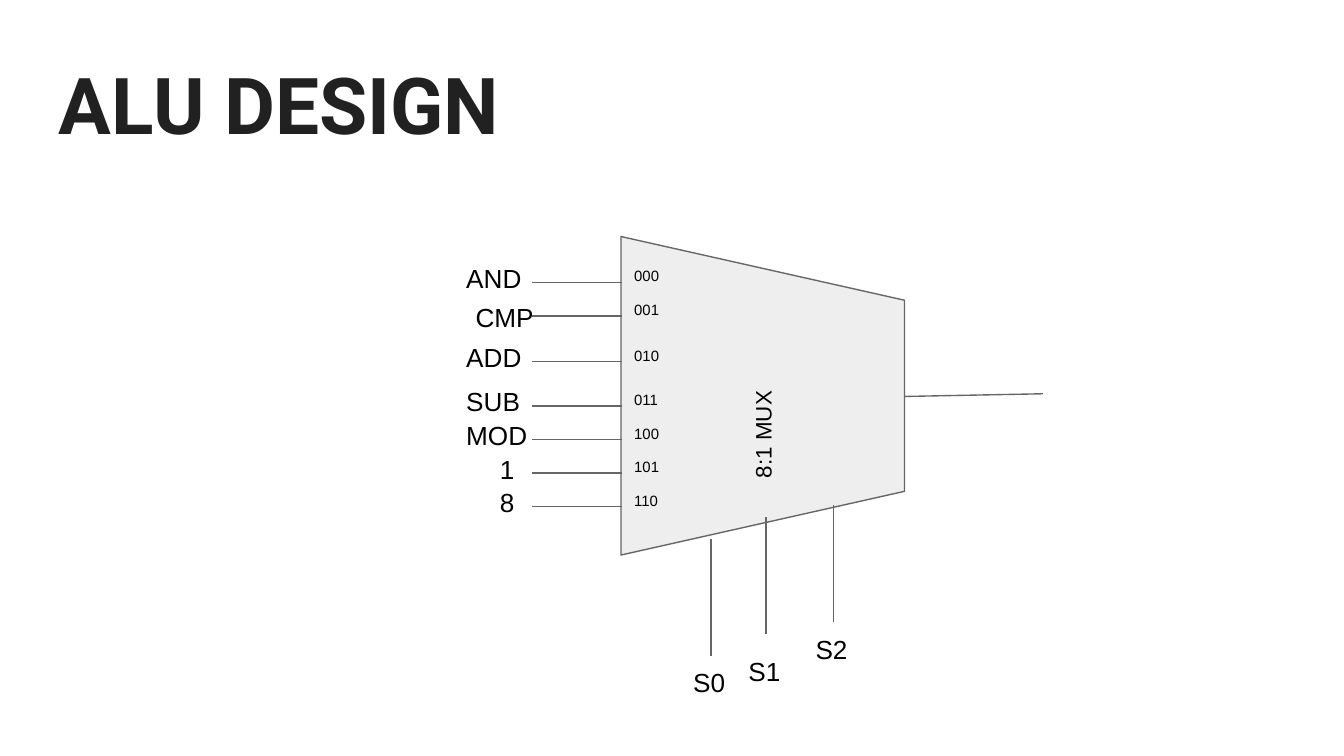
import dataclasses

import lxml.etree
import pptx
import pptx.dml.color
import pptx.enum.shapes
import pptx.enum.text
import pptx.oxml.ns
import pptx.util

Inches = pptx.util.Inches
COLORS = {"title": "212121", "text": "000000", "fill": "EEEEEE", "line": "666666"}


@dataclasses.dataclass
class Input:
    name: str
    code: str
    y: float
    left: float = 3.37
    rise: float = 0.25
    width: float = 0.68


@dataclasses.dataclass
class Select:
    name: str
    x: float
    top: float
    label: float


INPUTS = [
    Input("AND", "000", 2.1),
    Input("CMP", "001", 2.35, left=3.44, rise=0.21, width=0.73),
    Input("ADD", "010", 2.69),
    Input("SUB", "011", 3.02),
    Input("MOD", "100", 3.27),
    Input("1", "101", 3.52, left=3.62),
    Input("8", "110", 3.77, left=3.62),
]
SELECTS = [
    Select("S0", 5.29, 4.01, 4.88),
    Select("S1", 5.7, 3.85, 4.8),
    Select("S2", 6.2, 3.76, 4.63),
]


def color(key: str) -> pptx.dml.color.RGBColor:
    return pptx.dml.color.RGBColor.from_string(COLORS[key])


def write(shape, text: str, *, size: float, font: str = "Arial",
          key: str = "text", bold: bool = False, middle: bool = False) -> None:
    frame = shape.text_frame
    frame.word_wrap = True
    frame.margin_left = frame.margin_right = Inches(0.1)
    frame.margin_top = frame.margin_bottom = Inches(0.1)
    anchor = pptx.enum.text.MSO_ANCHOR
    frame.vertical_anchor = anchor.MIDDLE if middle else anchor.TOP
    para = frame.paragraphs[0]
    para.alignment = pptx.enum.text.PP_ALIGN.LEFT
    run = para.add_run()
    run.text = text
    run.font.size = pptx.util.Pt(size)
    run.font.name = font
    run.font.bold = bold
    run.font.color.rgb = color(key)


def label(slide, text: str, left: float, top: float, width: float,
          height: float, **style) -> None:
    box = slide.shapes.add_textbox(
        Inches(left), Inches(top), Inches(width), Inches(height))
    write(box, text, **style)
    box.text_frame.auto_size = pptx.enum.text.MSO_AUTO_SIZE.SHAPE_TO_FIT_TEXT


def stroke(line) -> None:
    line.color.rgb = color("line")
    line.width = pptx.util.Pt(0.75)


def wire(slide, x1: float, y1: float, x2: float, y2: float) -> None:
    link = slide.shapes.add_connector(
        pptx.enum.shapes.MSO_CONNECTOR.STRAIGHT,
        Inches(x1), Inches(y1), Inches(x2), Inches(y2))
    stroke(link.line)
    props = link._element.spPr
    lxml.etree.SubElement(props, pptx.oxml.ns.qn("a:effectLst"))


def draw_mux(slide) -> None:
    mux = slide.shapes.add_shape(
        pptx.enum.shapes.MSO_SHAPE.FLOWCHART_MANUAL_OPERATION,
        Inches(4.49), Inches(1.89), Inches(2.37), Inches(2.11))
    mux.rotation = 270
    mux.shadow.inherit = False
    mux.fill.solid()
    mux.fill.fore_color.rgb = color("fill")
    stroke(mux.line)
    write(mux, "8:1 MUX", size=12, middle=True)


def draw_input(slide, item: Input) -> None:
    wire(slide, 3.96, item.y, 4.63, item.y)
    label(slide, item.code, 4.62, item.y - 0.18, 0.58, 0.18, size=8)
    label(slide, item.name, item.left, item.y - item.rise, item.width, 0.42, size=14)


def draw_select(slide, item: Select) -> None:
    wire(slide, item.x, item.top, item.x, item.top + 0.87)
    label(slide, item.name, item.x - 0.23, item.label, 0.44, 0.18, size=14)


def main() -> None:
    deck = pptx.Presentation()
    # Widescreen, 16 to 9
    deck.slide_width = Inches(10)
    deck.slide_height = Inches(10 * 9 / 16)
    slide = deck.slides.add_slide(deck.slide_layouts[6])

    # Title
    label(slide, "ALU DESIGN", 0.34, 0.32, 9.32, 0.88,
          size=42, font="Roboto", key="title", bold=True)

    # Multiplexer and its output
    draw_mux(slide)
    wire(slide, 6.73, 2.95, 7.76, 2.93)

    # Data inputs
    for item in INPUTS:
        draw_input(slide, item)

    # Select lines
    for item in SELECTS:
        draw_select(slide, item)

    deck.save("out.pptx")


if __name__ == "__main__":
    main()
